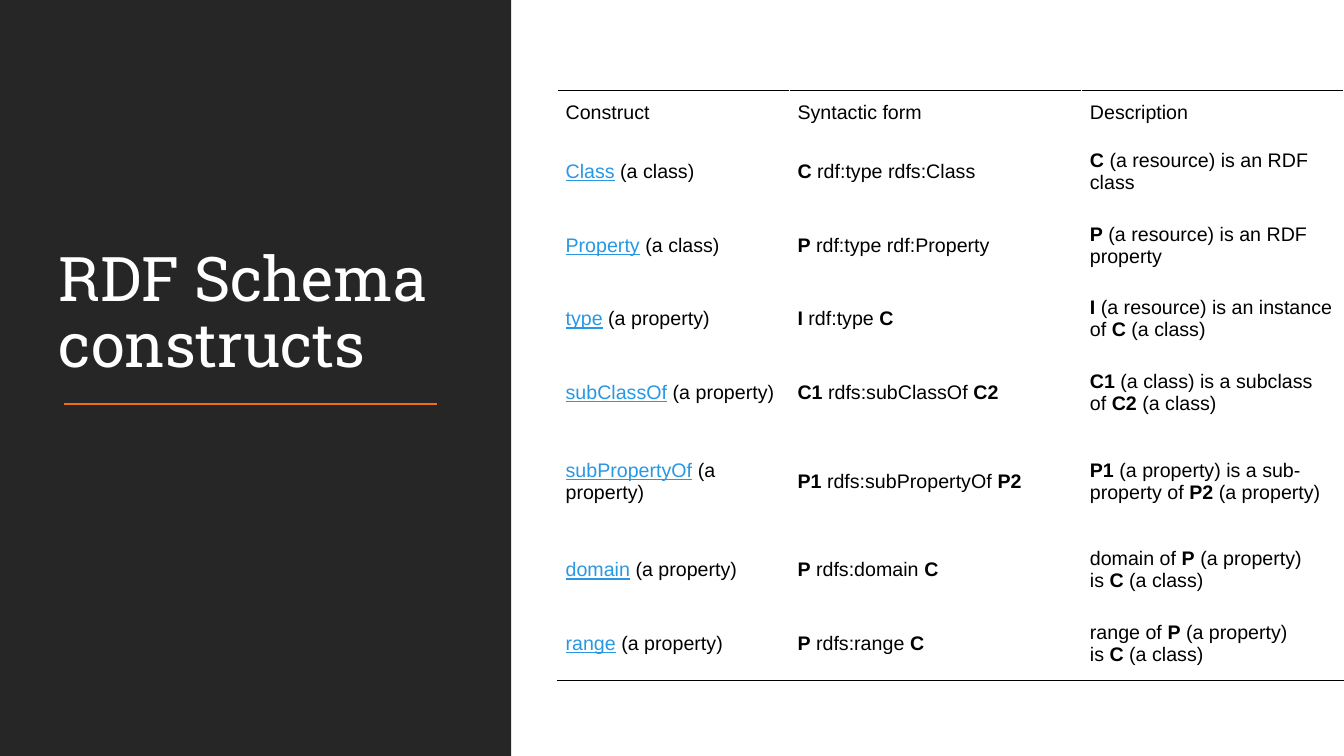
from pptx import Presentation
from pptx.dml.color import RGBColor
from pptx.enum.shapes import MSO_CONNECTOR, MSO_SHAPE
from pptx.enum.text import MSO_ANCHOR, MSO_AUTO_SIZE, PP_ALIGN
from pptx.oxml import parse_xml
from pptx.oxml.ns import nsdecls
from pptx.util import Inches, Pt
from lxml.etree import SubElement

DARK = RGBColor(0x26, 0x26, 0x26)
WHITE = RGBColor(0xFF, 0xFF, 0xFF)
BLACK = RGBColor(0, 0, 0)
ORANGE = RGBColor(0xEC, 0x70, 0x16)
LINK_BLUE = RGBColor(0x29, 0x98, 0xE3)
NBSP = chr(160)

# Asterisks enclose the emphasised terms: links in the first column, bold elsewhere
CONSTRUCTS = [
    ("Construct", "Syntactic form", "Description"),
    ("*Class* (a class)", "*C* rdf:type rdfs:Class", "*C* (a resource) is an RDF class"),
    ("*Property* (a class)", "*P* rdf:type rdf:Property", "*P* (a resource) is an RDF property"),
    ("*type* (a property)", "*I* rdf:type *C*", "*I* (a resource) is an instance of *C* (a class)"),
    ("*subClassOf* (a property)", "*C1* rdfs:subClassOf *C2*",
     "*C1* (a class) is a subclass of *C2* (a class)"),
    ("*subPropertyOf* (a property)", "*P1* rdfs:subPropertyOf *P2*",
     "*P1* (a property) is a sub-property of *P2* (a property)"),
    ("*domain* (a property)", "*P* rdfs:domain *C*", "domain of *P* (a property) is *C* (a class)"),
    ("*range* (a property)", "*P* rdfs:range *C*", "range of *P* (a property) is *C* (a class)"),
]
COLUMN_WIDTHS = [2.3, 2.9, 2.6]
ROW_HEIGHTS = [0.44, 0.73, 0.73, 0.73, 0.73, 1.03, 0.73, 0.73]


def add_border(cell, side):
    border = parse_xml(
        f'<a:{side} {nsdecls("a")} w="12700"><a:solidFill>'
        f'<a:srgbClr val="{BLACK}"/></a:solidFill></a:{side}>')
    cell._tc.get_or_add_tcPr().insert(0, border)


prs = Presentation()
prs.slide_width, prs.slide_height = Inches(13.33), Inches(7.5)
slide = prs.slides.add_slide(prs.slide_layouts[5])
title = slide.shapes.title

# Dark panel behind the title
panel = slide.shapes.add_shape(MSO_SHAPE.RECTANGLE, Inches(-0.01), 0, Inches(5.08), Inches(7.5))
panel.shadow.inherit = False
panel.fill.solid()
panel.fill.fore_color.rgb = DARK
panel.line.fill.background()
title._element.addprevious(panel._element)

# Title
title.left, title.top = Inches(0.48), Inches(0.7)
title.width, title.height = Inches(4), Inches(3.13)
title_frame = title.text_frame
title_frame.text = "RDF Schema constructs"
title_frame.word_wrap = True
title_frame.auto_size = MSO_AUTO_SIZE.NONE
title_frame.vertical_anchor = MSO_ANCHOR.BOTTOM
heading = title_frame.paragraphs[0]
heading.alignment = PP_ALIGN.LEFT
heading.line_spacing = 0.9
heading.font.name = "Roboto Slab"
heading.font.size = Pt(44)
heading.font.color.rgb = WHITE

# Rule under the title
rule = slide.shapes.add_connector(
    MSO_CONNECTOR.STRAIGHT, Inches(0.63), Inches(4.01), Inches(4.33), Inches(4.01))
rule.line.color.rgb = ORANGE
rule.line.width = Pt(1.5)
SubElement(rule._element.spPr, "{http://schemas.openxmlformats.org/drawingml/2006/main}effectLst")

# Table of constructs
table = slide.shapes.add_table(
    len(CONSTRUCTS), len(COLUMN_WIDTHS), Inches(5.53), Inches(0.9),
    Inches(sum(COLUMN_WIDTHS)), Inches(sum(ROW_HEIGHTS))).table
table.first_row = table.horz_banding = False
for column, width in zip(table.columns, COLUMN_WIDTHS):
    column.width = Inches(width)
for row, height in zip(table.rows, ROW_HEIGHTS):
    row.height = Inches(height)

for row_index, construct in enumerate(CONSTRUCTS):
    for column_index, text in enumerate(construct):
        cell = table.cell(row_index, column_index)
        cell.fill.background()
        cell.vertical_anchor = MSO_ANCHOR.MIDDLE
        cell.margin_left = cell.margin_right = Inches(0.08)
        cell.margin_top = cell.margin_bottom = Inches(0.04)
        if row_index == 0:
            add_border(cell, "lnT")
        if row_index == len(CONSTRUCTS) - 1:
            add_border(cell, "lnB")

        # Odd pieces are terms; a non-breaking space ties each to its neighbours
        for piece_index, piece in enumerate(text.split("*")):
            if not piece:
                continue
            is_term = piece_index % 2 == 1
            is_link = is_term and column_index == 0
            run = cell.text_frame.paragraphs[0].add_run()
            before = NBSP if piece.startswith(" ") else ""
            after = NBSP if piece.endswith(" ") else ""
            run.text = before + piece.strip() + after
            run.font.name = "Arial"
            run.font.size = Pt(14)
            run.font.bold = is_term and not is_link
            run.font.underline = is_link
            run.font.color.rgb = LINK_BLUE if is_link else BLACK

prs.save("out.pptx")
